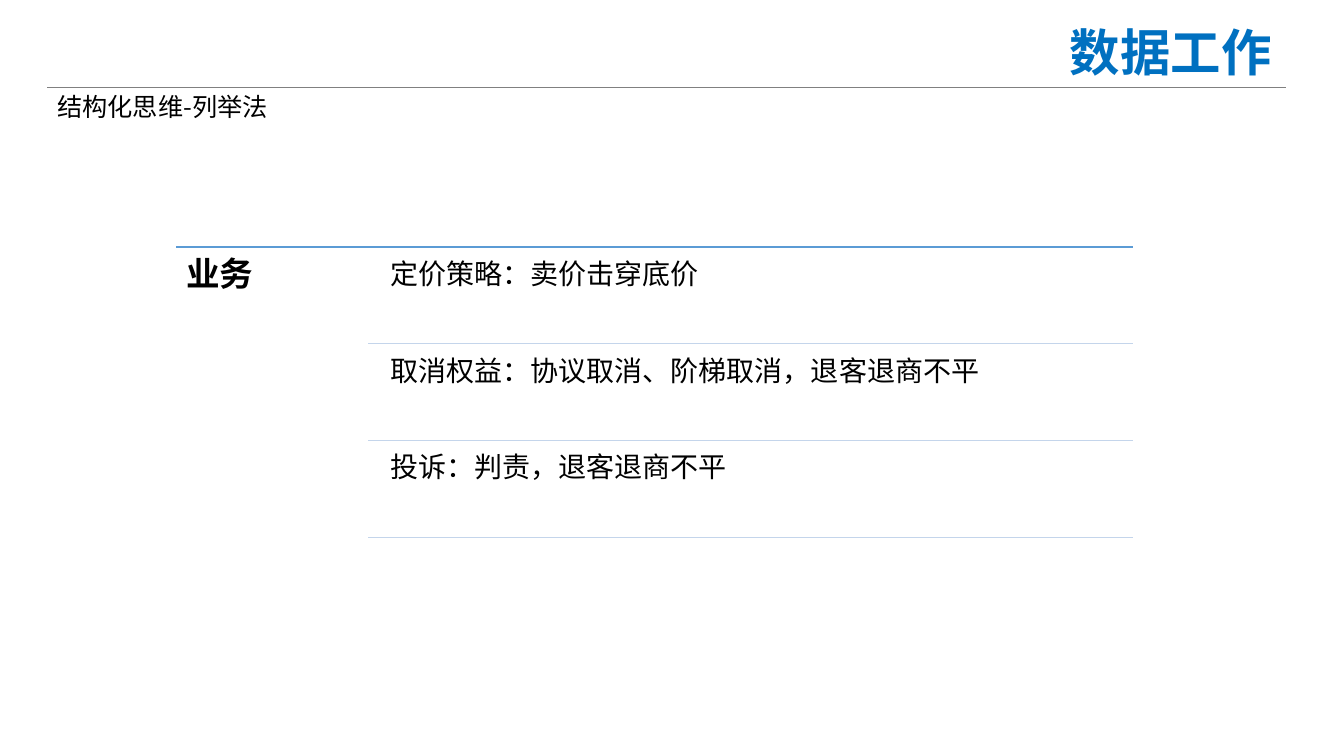
"""Build the slide that lists business topics by enumeration."""
from lxml import etree
from pptx import Presentation
from pptx.dml.color import RGBColor
from pptx.enum.text import PP_ALIGN
from pptx.oxml.ns import qn
from pptx.util import Inches, Pt

FONT = "Noto Sans CJK SC"


def add_line(x1, x2, y, color, width):
    ln = s.shapes.add_connector(1, Inches(x1), Inches(y), Inches(x2), Inches(y))
    ln.line.color.rgb = RGBColor.from_string(color)
    ln.line.width = Pt(width)
    etree.SubElement(ln._element.spPr, qn("a:effectLst"))


def add_text(text, box, size, color="000000", bold=False, inset=(0.1, 0.05),
             spacing=1.0, align=PP_ALIGN.LEFT):
    tf = s.shapes.add_textbox(*map(Inches, box)).text_frame
    tf.word_wrap = True
    tf.margin_left = tf.margin_right = Inches(inset[0])
    tf.margin_top = tf.margin_bottom = Inches(inset[1])
    p = tf.paragraphs[0]
    p.text = text
    p.alignment = align
    p.line_spacing = spacing
    p.font.name = FONT
    p.font.size = Pt(size)
    p.font.bold = bold
    p.font.color.rgb = RGBColor.from_string(color)
    etree.SubElement(p.font._element, qn("a:ea"), typeface=FONT)


prs = Presentation()
prs.slide_width, prs.slide_height = Inches(13.33), Inches(7.5)
s = prs.slides.add_slide(prs.slide_layouts[6])

add_line(0.47, 12.75, 0.87, "808080", 0.5)
add_text("数据工作", (7.6, 0.16, 5.11, 0.71), 36, "0070C0", True,
         align=PP_ALIGN.RIGHT)
add_text("结构化思维-列举法", (0.47, 0.86, 3.03, 0.4), 18)

top, pitch, right = 2.45, 0.96, 11.24
add_line(1.75, right, top, "5B9BD5", 1)
add_text("业务", (1.75, top, 1.9, 2.93), 24, bold=True, inset=(0.1, 0.1),
         spacing=0.9)

topics = ["定价策略：卖价击穿底价",
          "取消权益：协议取消、阶梯取消，退客退商不平",
          "投诉：判责，退客退商不平"]
for i, topic in enumerate(topics):
    y = top + i * pitch
    add_text(topic, (3.79, y + 0.05, 7.45, 0.92), 20, inset=(0.08, 0.08),
             spacing=0.9)
    add_line(3.65, right, y + pitch, "C4D5EB", 1)

prs.save("out.pptx")
